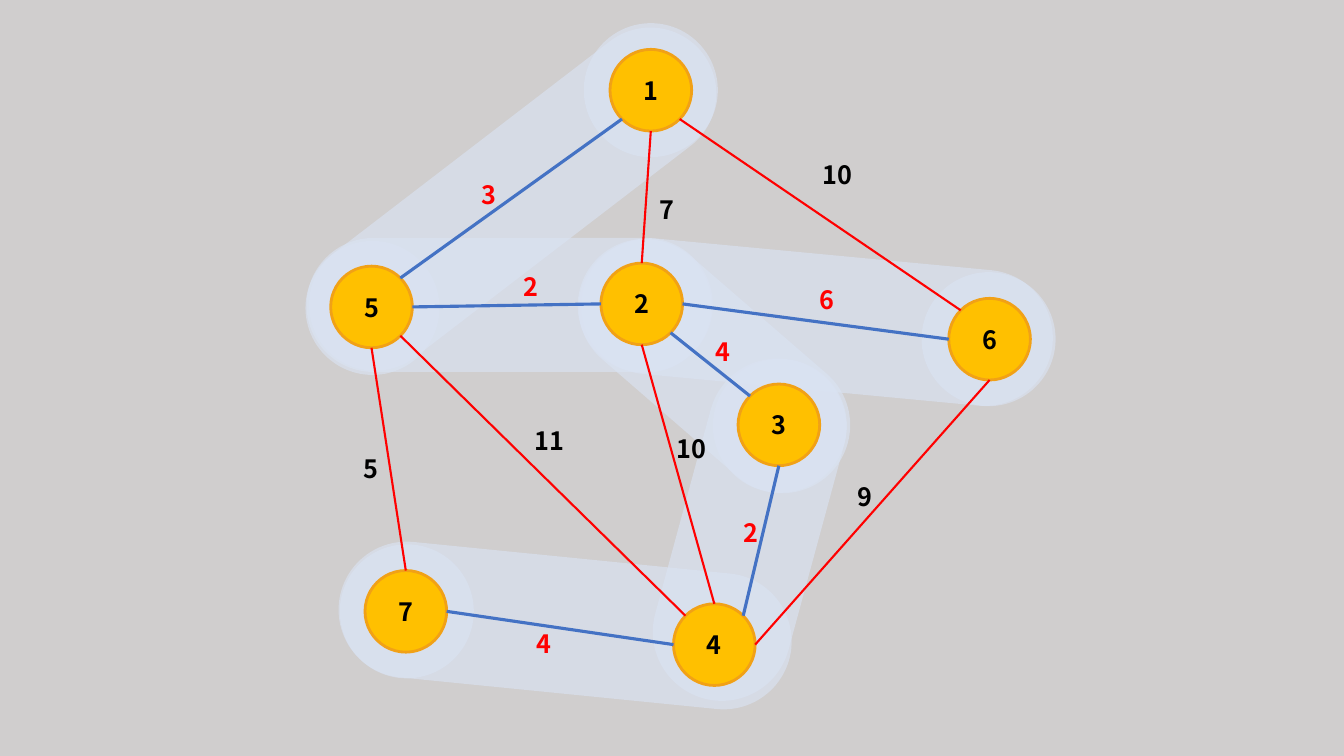
import math
from dataclasses import dataclass

from lxml import etree
from pptx import Presentation
from pptx import util as u
from pptx.dml.color import RGBColor
from pptx.enum import shapes, text
from pptx.oxml import ns

PX = 9144


@dataclass(frozen=True)
class Theme:
    background: str = "D0CECE"
    band: str = "DAE3F3"
    band_opacity: int = 63
    node: str = "FFC000"
    node_edge: str = "F1A116"
    ink: str = "000000"
    accent: str = "FF0000"
    tree: str = "4472C4"
    font: str = "Noto Sans CJK KR"
    size: int = 18


@dataclass(frozen=True)
class Node:
    name: str
    left: int
    top: int


@dataclass(frozen=True)
class Band:
    left: int
    top: int
    width: int
    height: int
    angle: float
    halo_left: int
    halo_top: int


@dataclass(frozen=True)
class Edge:
    start: str
    start_side: str
    end: str
    end_side: str
    weight: int
    label_left: int
    label_top: int
    in_tree: bool = False


THEME = Theme()
NODE_SIZE = 81
HALO_SIZE = 133
COMPASS = ("E", "SE", "S", "SW", "W", "NW", "N", "NE")

BANDS = (
    Band(743, 85, 135, 469, 275.4, 914, 270),
    Band(443, -40, 131, 475, 232.5, 579, 23),
    Band(439, 101, 133, 403, 270, 303, 239),
    Band(641, 207, 135, 313, 310.9, 573, 237),
    Band(675, 352, 137, 347, 15.2, 707, 356),
    Band(493, 395, 135, 451, 275.7, 337, 540),
)

NODES = (
    Node("1", 605, 49),
    Node("6", 941, 296),
    Node("5", 328, 264),
    Node("4", 668, 599),
    Node("7", 362, 566),
    Node("3", 732, 381),
    Node("2", 596, 261),
)

EDGES = (
    Edge("1", "SE", "6", "NW", 10, 806, 153),
    Edge("5", "NE", "1", "SW", 3, 468, 173, True),
    Edge("2", "E", "6", "W", 6, 803, 277, True),
    Edge("3", "S", "4", "NE", 2, 728, 508, True),
    Edge("4", "E", "6", "S", 9, 841, 473),
    Edge("2", "SE", "3", "NW", 4, 700, 329, True),
    Edge("5", "S", "7", "N", 5, 351, 445),
    Edge("1", "S", "2", "N", 7, 644, 188),
    Edge("5", "E", "2", "W", 2, 509, 264, True),
    Edge("2", "S", "4", "N", 10, 661, 425),
    Edge("7", "E", "4", "W", 4, 522, 618, True),
    Edge("5", "SE", "4", "NW", 11, 520, 417),
)


def rgb(colour: str) -> RGBColor:
    return RGBColor.from_string(colour)


def add_filled(slide, kind, left: int, top: int, width: int, height: int, colour: str):
    shape = slide.shapes.add_shape(kind, left * PX, top * PX, width * PX, height * PX)
    shape.shadow.inherit = False
    shape.fill.solid()
    shape.fill.fore_color.rgb = rgb(colour)
    shape.line.fill.background()
    return shape


def make_translucent(shape) -> None:
    colour = shape.fill._xPr.find(ns.qn("a:solidFill"))[0]
    alpha = etree.SubElement(colour, ns.qn("a:alpha"))
    alpha.set("val", str(THEME.band_opacity * 1000))


def style_number(paragraph, colour: str) -> None:
    paragraph.font.name = THEME.font
    paragraph.font.size = u.Pt(THEME.size)
    paragraph.font.bold = True
    paragraph.font.color.rgb = rgb(colour)


def draw_band(slide, band: Band) -> None:
    capsule = add_filled(slide, shapes.MSO_SHAPE.ROUNDED_RECTANGLE, band.left, band.top,
                         band.width, band.height, THEME.band)
    capsule.adjustments[0] = 0.5
    capsule.rotation = band.angle
    halo = add_filled(slide, shapes.MSO_SHAPE.OVAL, band.halo_left, band.halo_top,
                      HALO_SIZE, HALO_SIZE, THEME.band)
    for part in (capsule, halo):
        make_translucent(part)


def draw_node(slide, node: Node) -> None:
    circle = add_filled(slide, shapes.MSO_SHAPE.OVAL, node.left, node.top,
                        NODE_SIZE, NODE_SIZE, THEME.node)
    circle.line.color.rgb = rgb(THEME.node_edge)
    circle.line.width = u.Pt(2)
    frame = circle.text_frame
    frame.text = node.name
    frame.vertical_anchor = text.MSO_ANCHOR.MIDDLE
    frame.paragraphs[0].alignment = text.PP_ALIGN.CENTER
    style_number(frame.paragraphs[0], THEME.ink)


def rim_point(node: Node, side: str) -> tuple[int, int]:
    angle = COMPASS.index(side) * math.pi / 4
    radius = NODE_SIZE / 2
    return (round((node.left + radius + radius * math.cos(angle)) * PX),
            round((node.top + radius + radius * math.sin(angle)) * PX))


def draw_edge(slide, edge: Edge, nodes: dict[str, Node]) -> None:
    start = rim_point(nodes[edge.start], edge.start_side)
    end = rim_point(nodes[edge.end], edge.end_side)
    link = slide.shapes.add_connector(shapes.MSO_CONNECTOR.STRAIGHT, *start, *end)
    link.line.color.rgb = rgb(THEME.tree if edge.in_tree else THEME.accent)
    link.line.width = u.Pt(2.25 if edge.in_tree else 1.5)
    etree.SubElement(link._element.spPr, ns.qn("a:effectLst"))


def draw_weight(slide, edge: Edge) -> None:
    weight = str(edge.weight)
    width = 19 + 16 * len(weight)
    label = slide.shapes.add_textbox(edge.label_left * PX, edge.label_top * PX,
                                     width * PX, 40 * PX)
    frame = label.text_frame
    frame.word_wrap = False
    frame.auto_size = text.MSO_AUTO_SIZE.SHAPE_TO_FIT_TEXT
    frame.text = weight
    style_number(frame.paragraphs[0], THEME.accent if edge.in_tree else THEME.ink)


def main() -> None:
    deck = Presentation()
    deck.slide_width, deck.slide_height = 1333 * PX, 750 * PX
    slide = deck.slides.add_slide(deck.slide_layouts[6])
    slide.background.fill.solid()
    slide.background.fill.fore_color.rgb = rgb(THEME.background)

    nodes = {node.name: node for node in NODES}
    for band in BANDS:
        draw_band(slide, band)
    for node in NODES:
        draw_node(slide, node)
    for edge in EDGES:
        draw_edge(slide, edge, nodes)
    for edge in EDGES:
        draw_weight(slide, edge)
    deck.save("out.pptx")


if __name__ == "__main__":
    main()
